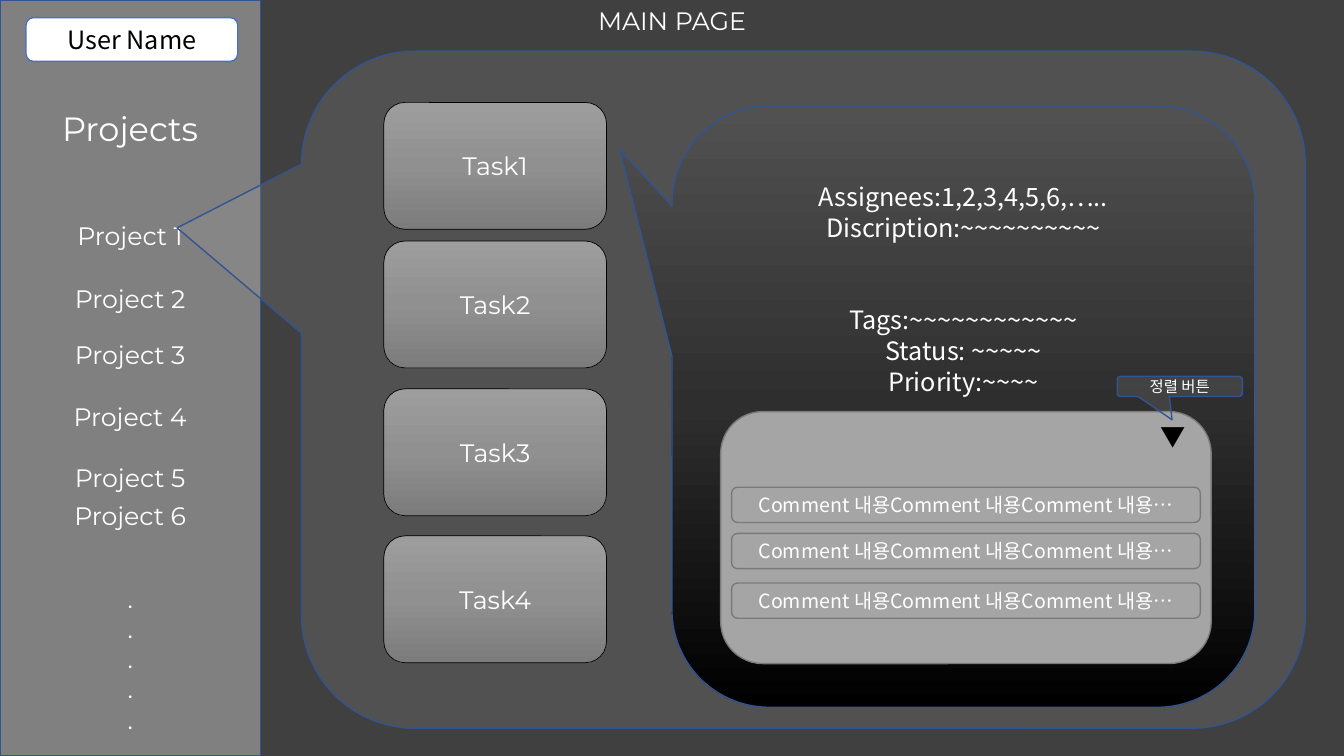
"""Build the main page wireframe of a project manager on a 160 by 90 grid."""
from copy import deepcopy
from dataclasses import dataclass
from typing import Optional

from lxml.etree import SubElement
from pptx import Presentation
from pptx.dml.color import RGBColor
from pptx.enum.shapes import MSO_SHAPE
from pptx.enum.text import MSO_ANCHOR, MSO_AUTO_SIZE, PP_ALIGN
from pptx.oxml.ns import qn
from pptx.util import Inches, Pt

COLUMNS, ROWS = 160, 90
WIDTH, HEIGHT = Inches(13.33), Inches(7.5)
LATIN, KOREAN = "Montserrat", "Noto Sans CJK KR"
COLORS = {
    "page": "404040",
    "sidebar": "D9D9D9",
    "bubble": "AFABAB",
    "outline": "325491",
    "user_outline": "4472C4",
    "panel": "A5A5A5",
    "panel_outline": "7A7A7A",
    "white": "FFFFFF",
    "black": "000000",
}
TASK_GRADIENT = ("9D9D9D", "909090", "7C7C7C")
DETAIL_GRADIENT = ("515151", "2E2E2E", "000000")


@dataclass(frozen=True)
class Area:
    """A place on the grid, in columns and rows."""
    left: float
    top: float
    width: float
    height: float

    def emu(self) -> tuple:
        """Return left, top, width and height as slide lengths."""
        return (
            round(self.left * WIDTH / COLUMNS),
            round(self.top * HEIGHT / ROWS),
            round(self.width * WIDTH / COLUMNS),
            round(self.height * HEIGHT / ROWS),
        )


@dataclass(frozen=True)
class Panel:
    """The look of a filled shape."""
    area: Area
    fill: str = "panel"
    outline: str = "panel_outline"
    kind: MSO_SHAPE = MSO_SHAPE.ROUNDED_RECTANGLE
    weight: float = 1
    opacity: int = 100
    gradient: tuple = ()
    adjustments: tuple = ()


@dataclass(frozen=True)
class MenuEntry:
    """A line of text in the sidebar."""
    text: str
    top: float
    height: float = 4.8
    size: int = 18


MENU = (
    MenuEntry("Projects", 12.2, 6, 24),
    MenuEntry("Project 1", 25.6),
    MenuEntry("Project 2", 33.2),
    MenuEntry("Project 3", 39.8),
    MenuEntry("Project 4", 47.2),
    MenuEntry("Project 5", 54.4),
    MenuEntry("Project 6", 59),
    MenuEntry("\n".join("....."), 68.8, 23),
)
TASK_TOPS = (12.2, 28.7, 46.3, 63.8)
COMMENT_TOPS = (58, 63.5, 69.4)
COMMENT = "Comment 내용" * 3 + "…"
DETAILS = (
    "Assignees:1,2,3,4,5,6,…..\nDiscription:~~~~~~~~~~\n"
    "Tags:~~~~~~~~~~~~\nStatus: ~~~~~\nPriority:~~~~"
)
SIDEBAR = Area(0, 0, 31, 90)
LABEL_WIDTH = 48.4


def write(shape, text: str, *, size: int = 18, font: str = LATIN,
          color: str = "white", align: PP_ALIGN = PP_ALIGN.CENTER,
          anchor: MSO_ANCHOR = MSO_ANCHOR.MIDDLE,
          fit: MSO_AUTO_SIZE = MSO_AUTO_SIZE.NONE,
          pitch: Optional[float] = None) -> None:
    """Write text into a shape, one paragraph for each line."""
    frame = shape.text_frame
    frame.text = text
    frame.word_wrap = True
    frame.auto_size = fit
    frame.vertical_anchor = anchor
    for paragraph in frame.paragraphs:
        paragraph.alignment = align
        if pitch:
            paragraph.line_spacing = Pt(pitch)
        for run in paragraph.runs:
            run.font.size = Pt(size)
            run.font.name = font
            run.font.color.rgb = RGBColor.from_string(COLORS[color])
            east_asian = SubElement(run.font._element, qn("a:ea"))
            east_asian.set("typeface", font)


def draw_label(slide, area: Area, text: str, **style) -> None:
    """Add a text box that grows with its text."""
    write(slide.shapes.add_textbox(*area.emu()), text, anchor=MSO_ANCHOR.TOP,
          fit=MSO_AUTO_SIZE.SHAPE_TO_FIT_TEXT, **style)


def fill_gradient(shape, colors: tuple) -> None:
    """Fill a shape with evenly spaced colours from top to bottom."""
    shape.fill.gradient()
    shape.fill.gradient_angle = 270
    stops = shape._element.spPr.find(qn("a:gradFill")).find(qn("a:gsLst"))
    while len(stops) < len(colors):
        stops.append(deepcopy(stops[0]))
    for index, stop in enumerate(shape.fill.gradient_stops):
        stop.position = index / (len(colors) - 1)
        stop.color.rgb = RGBColor.from_string(colors[index])


def draw_panel(slide, panel: Panel):
    """Add a filled and outlined shape."""
    shape = slide.shapes.add_shape(panel.kind, *panel.area.emu())
    shape.shadow.inherit = False
    for index, value in enumerate(panel.adjustments):
        shape.adjustments[index] = value
    if panel.gradient:
        fill_gradient(shape, panel.gradient)
    else:
        shape.fill.solid()
        shape.fill.fore_color.rgb = RGBColor.from_string(COLORS[panel.fill])
        if panel.opacity < 100:
            color = next(shape._element.spPr.iter(qn("a:srgbClr")))
            SubElement(color, qn("a:alpha")).set("val", str(panel.opacity * 1000))
    shape.line.color.rgb = RGBColor.from_string(COLORS[panel.outline])
    shape.line.width = Pt(panel.weight)
    return shape


def bubble(area: Area, tip: tuple, **look) -> Panel:
    """Describe a rounded callout whose tip is given in shares of its size."""
    return Panel(area, "bubble", "outline", MSO_SHAPE.ROUNDED_RECTANGULAR_CALLOUT,
                 opacity=16, adjustments=(*tip, 0.167), **look)


def draw_sidebar(slide) -> None:
    """Add the user name and the list of projects."""
    draw_panel(slide, Panel(SIDEBAR, "sidebar", "outline", MSO_SHAPE.RECTANGLE, opacity=42))
    user = draw_panel(slide, Panel(Area(3.1, 2.1, 25.2, 5.2), "white", "user_outline"))
    write(user, "User Name", font=KOREAN, color="black")
    left = (SIDEBAR.width - LABEL_WIDTH) / 2
    for entry in MENU:
        draw_label(slide, Area(left, entry.top, LABEL_WIDTH, entry.height),
                   entry.text, size=entry.size)


def draw_tasks(slide) -> None:
    """Add the project bubble with its tasks."""
    draw_panel(slide, bubble(Area(35.9, 6.1, 119.5, 80.6), (-0.624, -0.239)))
    for number, top in enumerate(TASK_TOPS, 1):
        task = draw_panel(slide, Panel(Area(45.7, top, 26.5, 15.1), outline="black",
                                       weight=0.5, gradient=TASK_GRADIENT))
        write(task, f"Task{number}")


def draw_details(slide) -> None:
    """Add the task bubble with its details and comments."""
    details = draw_panel(slide, bubble(Area(80, 12.6, 69.4, 71.6), (-0.59, -0.428),
                                       gradient=DETAIL_GRADIENT))
    write(details, DETAILS, font=KOREAN, anchor=MSO_ANCHOR.TOP, pitch=22)
    details.text_frame.margin_top = Inches(0.46)
    details.text_frame.paragraphs[2].space_before = Pt(44)
    draw_panel(slide, Panel(Area(85.8, 49, 58.4, 30)))
    for top in COMMENT_TOPS:
        comment = draw_panel(slide, Panel(Area(87.1, top, 55.8, 4.2)))
        write(comment, COMMENT, size=14, font=KOREAN)
    draw_label(slide, Area(137, 49.6, 4.4, 4.8), "▼", font=KOREAN,
               color="black", align=PP_ALIGN.LEFT)
    sort_hint = draw_panel(slide, bubble(Area(133, 44.8, 14.9, 2.4), (-0.062, 1.656)))
    write(sort_hint, "정렬 버튼", size=11, font=KOREAN)


def main() -> None:
    """Build and save the slide."""
    deck = Presentation()
    deck.slide_width, deck.slide_height = WIDTH, HEIGHT
    slide = deck.slides.add_slide(deck.slide_layouts[5])
    slide.background.fill.solid()
    slide.background.fill.fore_color.rgb = RGBColor.from_string(COLORS["page"])
    title = slide.shapes.title
    title.left, title.top, title.width, title.height = Area(55.8, 0, LABEL_WIDTH, 4.8).emu()
    write(title, "MAIN PAGE", anchor=MSO_ANCHOR.TOP)
    draw_sidebar(slide)
    draw_tasks(slide)
    draw_details(slide)
    deck.save("out.pptx")


if __name__ == "__main__":
    main()
